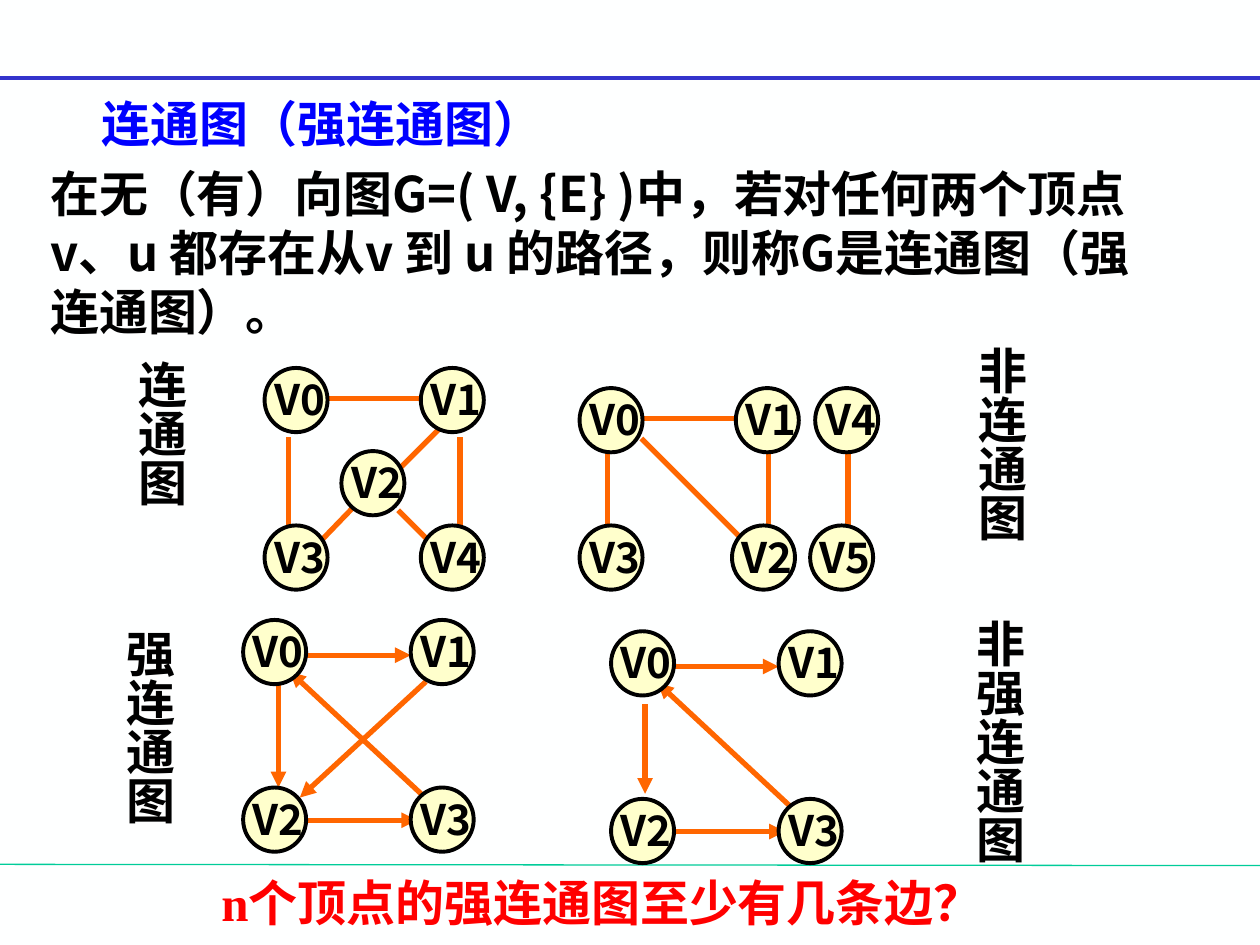
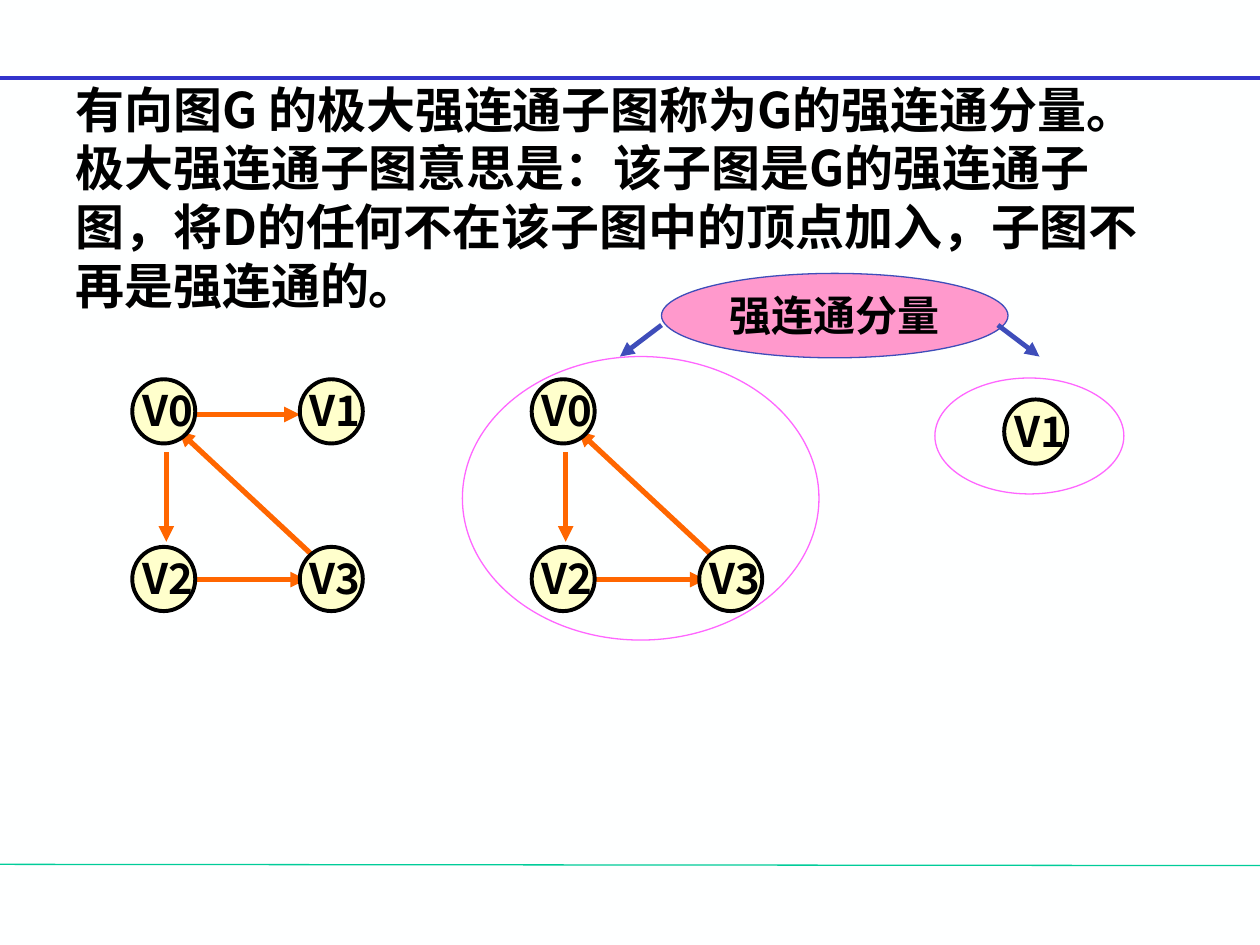
from dataclasses import dataclass

from lxml.etree import SubElement
from pptx import Presentation
from pptx.dml.color import RGBColor as Rgb
from pptx.enum.shapes import MSO_CONNECTOR as Link, MSO_SHAPE as Form
from pptx.enum.text import MSO_ANCHOR as Anchor, PP_ALIGN as Align
from pptx.oxml.ns import qn
from pptx.util import Inches, Pt


@dataclass(frozen=True)
class Theme:
    """Colours, fonts and type sizes shared by both slides."""
    paper: str = "FEFFFF"
    top_rule: str = "3333CC"
    foot_rule: str = "00CC99"
    ink: str = "000000"
    title: str = "0000FF"
    question: str = "FF0000"
    node: str = "FFFFCC"
    edge: str = "FF6600"
    component: str = "FF99CC"
    pointer: str = "3E4DBA"
    ring: str = "FF66FF"
    han: str = "Noto Sans CJK SC"
    title_font: str = "DejaVu Sans"
    serif: str = "Times New Roman"
    body_size: int = 28
    label_size: int = 24
    leading: float = 1.2


THEME = Theme()
NODE_SIZE = (0.5, 0.51)
STEP = 1.33

SQUARE_NODES = {"V0": (0, 0), "V1": (STEP, 0), "V2": (0, STEP), "V3": (STEP, STEP)}
SQUARE_EDGES = {
    "V0V2": (0.27, 0.58, 0.27, 1.29),
    "V2V3": (0.51, 1.59, 1.38, 1.59),
    "V0V1": (0.51, 0.28, 1.33, 0.28),
    "V3V0": (1.53, 1.49, 0.37, 0.41),
}
STRONG_EDGES = SQUARE_EDGES | {
    "V0V2": (0.28, 0.49, 0.28, 1.33),
    "V1V2": (1.45, 0.49, 0.45, 1.41),
}
CYCLE_NODES = {name: spot for name, spot in SQUARE_NODES.items() if name != "V1"}
CYCLE_EDGES = {name: ends for name, ends in SQUARE_EDGES.items() if "V1" not in name}

CONNECTED_NODES = {
    "V0": (0, 0), "V4": (1.24, 1.25), "V3": (0, 1.25),
    "V1": (1.24, 0), "V2": (0.61, 0.66),
}
CONNECTED_EDGES = {
    "V0V3": (0.19, 0.55, 0.19, 1.27),
    "V0V1": (0.49, 0.24, 1.31, 0.24),
    "V1V4": (1.55, 0.55, 1.55, 1.27),
    "V2V3": (0.72, 1.09, 0.43, 1.39),
    "V1V2": (1.38, 0.49, 1.08, 0.79),
    "V2V4": (1.06, 1.13, 1.31, 1.38),
}
SPLIT_NODES = {
    "V0": (0, 0), "V2": (1.21, 1.09), "V3": (0, 1.09),
    "V1": (1.24, 0), "V5": (1.83, 1.09), "V4": (1.87, 0),
}
SPLIT_EDGES = {
    "V0V2": (0.49, 0.4, 1.31, 1.22),
    "V0V3": (0.22, 0.5, 0.22, 1.14),
    "V0V1": (0.5, 0.24, 1.28, 0.24),
    "V1V2": (1.5, 0.5, 1.5, 1.14),
    "V4V5": (2.13, 0.46, 2.13, 1.1),
}


def inches(values):
    """Turn plain numbers into lengths."""
    return [Inches(value) for value in values]


def apply(target, values):
    """Set each named attribute on the target."""
    for name, value in values.items():
        setattr(target, name, value)


def write(frame, text, size, color=THEME.ink, font=THEME.han, align=Align.LEFT):
    """Write one bold paragraph without hanging punctuation."""
    para = frame.paragraphs[0]
    apply(para, {"alignment": align, "line_spacing": Pt(size * THEME.leading)})
    para._p.get_or_add_pPr().set("hangingPunct", "0")
    span = para.add_run()
    span.text = text
    apply(span.font, {"size": Pt(size), "bold": True, "name": font})
    span.font.color.rgb = Rgb.from_string(color)
    SubElement(span.font._element, qn("a:ea"), typeface=THEME.han)


def add_text(page, box, text, color=THEME.ink, font=THEME.han, wrap=True, upright=False):
    """Add a body-size text box, with vertical writing if upright."""
    frame = page.shapes.add_textbox(*inches(box)).text_frame
    frame.word_wrap = wrap
    if upright:
        frame._txBody.bodyPr.set("vert", "eaVert")
    write(frame, text, THEME.body_size, color, font)


def add_line(shapes, ends, color, width, arrow=False):
    """Add a straight line, with an arrowhead at its end if asked."""
    line = shapes.add_connector(Link.STRAIGHT, *inches(ends))
    line.line.color.rgb = Rgb.from_string(color)
    line.line.width = Pt(width)
    if arrow:
        SubElement(line.line._get_or_add_ln(), qn("a:tailEnd"), type="triangle")
    SubElement(line._element.spPr, qn("a:effectLst"))


def add_ellipse(shapes, box, line_color, width, fill=None):
    """Add an outlined ellipse, hollow when it has no fill colour."""
    oval = shapes.add_shape(Form.OVAL, *inches(box))
    oval.shadow.inherit = False
    oval.line.color.rgb = Rgb.from_string(line_color)
    oval.line.width = Pt(width)
    if fill:
        oval.fill.solid()
        oval.fill.fore_color.rgb = Rgb.from_string(fill)
    else:
        oval.fill.background()
    return oval


def label(oval, text, font=THEME.han, shift=0):
    """Centre a label in an ellipse, moved right by the shift and slightly up."""
    frame = oval.text_frame
    sides = ("margin_left", "margin_right", "margin_top", "margin_bottom")
    apply(frame, dict(zip(sides, inches([2 * shift, 0, 0, 0.02]))))
    apply(frame, {"word_wrap": False, "vertical_anchor": Anchor.MIDDLE})
    write(frame, text, THEME.label_size, font=font, align=Align.CENTER)


def add_graph(page, origin, nodes, edges, directed=False):
    """Draw a graph as one group, measured from the corner of its V0."""
    left, top = origin
    shapes = page.shapes.add_group_shape().shapes
    for x1, y1, x2, y2 in edges.values():
        ends = (left + x1, top + y1, left + x2, top + y2)
        add_line(shapes, ends, THEME.edge, 3, directed)
    for name, (x, y) in nodes.items():
        box = (left + x, top + y, *NODE_SIZE)
        label(add_ellipse(shapes, box, THEME.ink, 2.25, THEME.node), name, shift=0.03)


def add_callout(page, box):
    """Add the component label with an arrow from each side."""
    left, top, width, height = box
    shapes = page.shapes.add_group_shape().shapes
    oval = add_ellipse(shapes, box, THEME.pointer, 0.75, THEME.component)
    label(oval, "强连通分量", THEME.serif)
    start, end = top + 0.41, top + height - 0.01
    for x, reach in ((left, -0.33), (left + width - 0.08, 0.33)):
        add_line(shapes, (x, start, x + reach, end), THEME.pointer, 2.75, True)


def add_page(deck):
    """Add a blank page with the shared background and rules."""
    page = deck.slides.add_slide(deck.slide_layouts[6])
    page.background.fill.solid()
    page.background.fill.fore_color.rgb = Rgb.from_string(THEME.paper)
    add_line(page.shapes, (0, 6.86, 10, 6.87), THEME.foot_rule, 0.75)
    add_line(page.shapes, (0, 0.62, 10, 0.62), THEME.top_rule, 2.25)
    return page


def connectivity_page(deck):
    """Define connected graphs and show four examples."""
    page = add_page(deck)
    captions = (
        ("非连通图", (7.56, 2.65, 0.67, 2)),
        ("连通图", (0.89, 2.76, 0.67, 2)),
        ("强连通图", (0.8, 4.9, 0.67, 2)),
        ("非强连通图", (7.54, 4.82, 0.67, 2.35)),
    )
    for text, box in captions:
        add_text(page, box, text, upright=True)
    add_graph(page, (4.85, 5.01), SQUARE_NODES, SQUARE_EDGES, True)
    add_graph(page, (2.1, 2.92), CONNECTED_NODES, CONNECTED_EDGES)
    add_graph(page, (1.93, 4.92), SQUARE_NODES, STRONG_EDGES, True)
    add_graph(page, (4.6, 3.08), SPLIT_NODES, SPLIT_EDGES)
    add_text(page, (0.71, 0.69, 3.72, 0.57), "连通图（强连通图）",
             THEME.title, THEME.title_font, wrap=False)
    add_text(page, (0.3, 1.25, 9.08, 1.5),
             "在无（有）向图G=( V, {E} )中，若对任何两个顶点 v、u 都存在从v 到 u 的路径，"
             "则称G是连通图（强连通图）。")
    add_text(page, (1.66, 6.88, 6.37, 0.57), "n个顶点的强连通图至少有几条边？",
             THEME.question, THEME.serif)


def component_page(deck):
    """Define strong components and show a graph split into them."""
    page = add_page(deck)
    add_text(page, (0.5, 0.58, 8.92, 1.97),
             "有向图G 的极大强连通子图称为G的强连通分量。极大强连通子图意思是：该子图是G的强连通子图，"
             "将D的任何不在该子图中的顶点加入，子图不再是强连通的。")
    add_callout(page, (5.25, 2.17, 2.75, 0.67))
    add_graph(page, (1.05, 3.01), SQUARE_NODES, SQUARE_EDGES, True)
    add_graph(page, (4.22, 3.01), CYCLE_NODES, CYCLE_EDGES, True)
    add_graph(page, (7.97, 3.17), {"V1": (0, 0)}, {})
    for box in ((3.67, 2.83, 2.83, 2.25), (7.42, 3, 1.5, 0.92)):
        add_ellipse(page.shapes, box, THEME.ring, 0.75)


def main():
    """Build and save the deck."""
    deck = Presentation()
    apply(deck, {"slide_width": Inches(10), "slide_height": Inches(7.5)})
    connectivity_page(deck)
    component_page(deck)
    deck.save("out.pptx")


if __name__ == "__main__":
    main()
